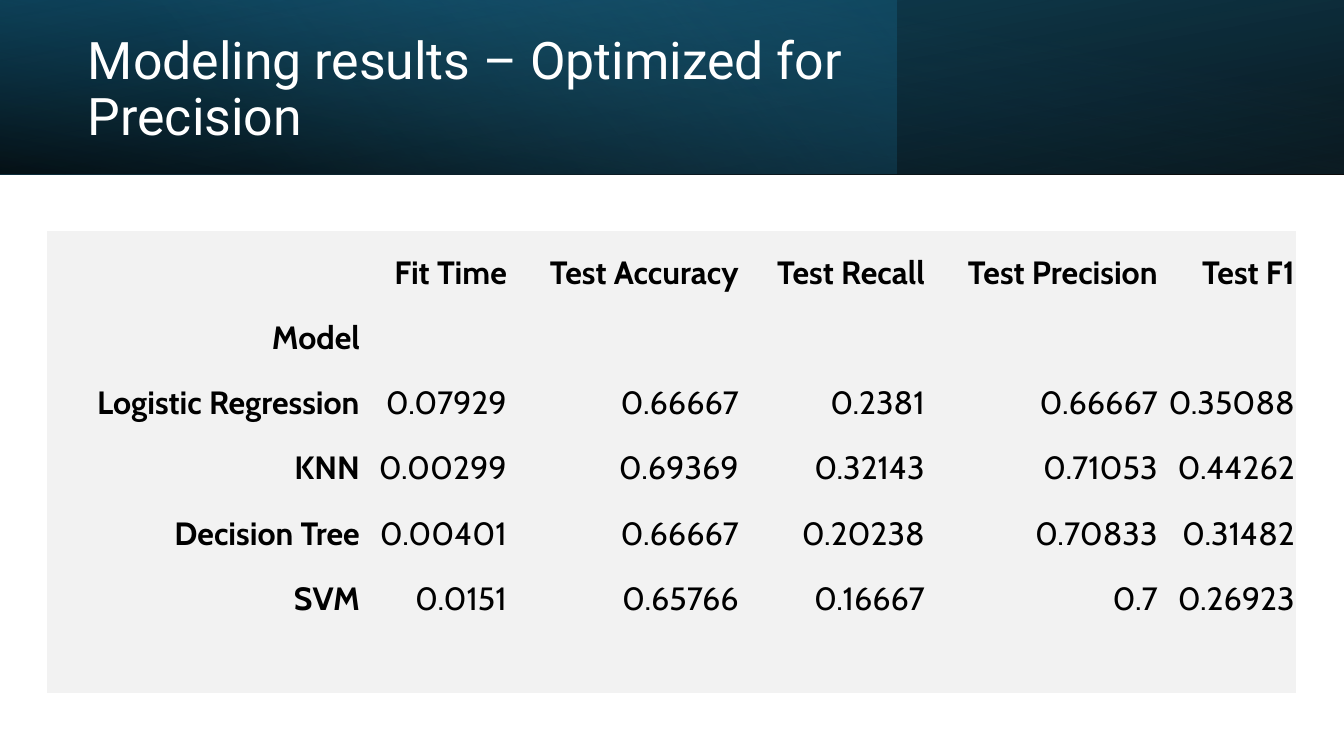
from lxml import etree
from pptx import Presentation
from pptx import util as u
from pptx.dml.color import RGBColor
from pptx.enum import shapes, text
from pptx.oxml.ns import qn

EMU_PER_PX = 914400 / 100.8
NO_STYLE_NO_GRID = "{2D5ABB26-0587-4C30-8999-92F81FD0307C}"


def px(length):
    return u.Emu(round(length * EMU_PER_PX))


def color(value):
    return RGBColor.from_string(value)


class Slide:
    title_font, title_size, title_color = "Roboto", 37, "FFFFFF"
    table_font, table_size, table_color = "Cabin", 23, "000000"
    cell_fill = "F2F2F2"

    def __init__(self, deck):
        self.page = deck.slides.add_slide(deck.slide_layouts[6])

    def gradient_band(self, width, height, stops, angle, rotation=0, flip=False):
        """Stops are (position %, colour, opacity %)."""
        band = self.page.shapes.add_shape(
            shapes.MSO_SHAPE.RECTANGLE, 0, 0, px(width), px(height))
        band.shadow.inherit = False
        band.line.fill.background()
        band.rotation = rotation
        band.fill.gradient()
        fill = band.element.spPr.find(qn("a:gradFill"))
        xfrm = band.element.spPr.find(qn("a:xfrm"))
        if flip:
            xfrm.set("flipH", "1")
        for child in list(fill):
            fill.remove(child)
        fill.set("rotWithShape", "1")
        stop_list = etree.SubElement(fill, qn("a:gsLst"))
        for position, value, opacity in stops:
            stop = etree.SubElement(stop_list, qn("a:gs"), pos=str(position * 1000))
            shade = etree.SubElement(stop, qn("a:srgbClr"), val=value)
            etree.SubElement(shade, qn("a:alpha"), val=str(opacity * 1000))
        etree.SubElement(fill, qn("a:lin"), ang=str(angle * 60000), scaled="0")

    def style(self, para, font, size, value, bold=False):
        para.font.name = font
        para.font.size = u.Pt(size)
        para.font.bold = bold
        para.font.color.rgb = color(value)

    def title(self, left, top, width, height, words):
        box = self.page.shapes.add_textbox(px(left), px(top), px(width), px(height))
        frame = box.text_frame
        frame.word_wrap = True
        frame.vertical_anchor = text.MSO_ANCHOR.MIDDLE
        para = frame.paragraphs[0]
        para.text = words
        para.line_spacing = 0.9
        self.style(para, self.title_font, self.title_size, self.title_color)

    def table(self, left, top, widths, heights, rows):
        frame = self.page.shapes.add_table(
            len(heights), len(widths), px(left), px(top),
            px(sum(widths)), px(sum(heights)))
        frame.element.xpath(".//a:tableStyleId")[0].text = NO_STYLE_NO_GRID
        grid = frame.table
        grid.first_row = grid.horz_banding = False
        for column, width in zip(grid.columns, widths):
            column.width = px(width)
        for row, height in zip(grid.rows, heights):
            row.height = px(height)
        for r, values in enumerate(rows):
            for c, value in enumerate(values):
                self.cell(grid.cell(r, c), value, bold=r == 0 or c == 0)

    def cell(self, cell, value, bold):
        cell.fill.solid()
        cell.fill.fore_color.rgb = color(self.cell_fill)
        cell.vertical_anchor = text.MSO_ANCHOR.MIDDLE
        cell.margin_left = cell.margin_right = px(1)
        cell.margin_top, cell.margin_bottom = px(19), 0
        para = cell.text_frame.paragraphs[0]
        para.alignment = text.PP_ALIGN.RIGHT
        if value:
            para.text = value
            self.style(para, self.table_font, self.table_size, self.table_color, bold)


def main():
    deck = Presentation()
    deck.slide_width, deck.slide_height = px(1344), px(756)
    slide = Slide(deck)

    # Header: three layered gradients
    slide.gradient_band(1344, 174, [(0, "000000", 96), (100, "104862", 100)],
                        100, rotation=180, flip=True)
    slide.gradient_band(897, 174, [(0, "156082", 41), (74, "46B1E1", 0)], 140)
    slide.gradient_band(1344, 174, [(0, "000000", 63), (78, "156082", 15)],
                        260, flip=True)
    slide.title(78, 27, 778, 128, "Modeling results – Optimized for Precision")

    # Model scores
    blank = [""] * 5
    rows = [
        ["", "Fit Time", "Test Accuracy", "Test Recall", "Test Precision", "Test F1"],
        ["Model", *blank],
        ["Logistic Regression", "0.07929", "0.66667", "0.2381", "0.66667", "0.35088"],
        ["KNN", "0.00299", "0.69369", "0.32143", "0.71053", "0.44262"],
        ["Decision Tree", "0.00401", "0.66667", "0.20238", "0.70833", "0.31482"],
        ["SVM", "0.0151", "0.65766", "0.16667", "0.7", "0.26923"],
        ["", *blank],
    ]
    slide.table(47, 231, [314, 147, 232, 186, 233, 137],
                [65, 65, 65, 66, 65, 65, 71], rows)

    deck.save("out.pptx")


if __name__ == "__main__":
    main()
